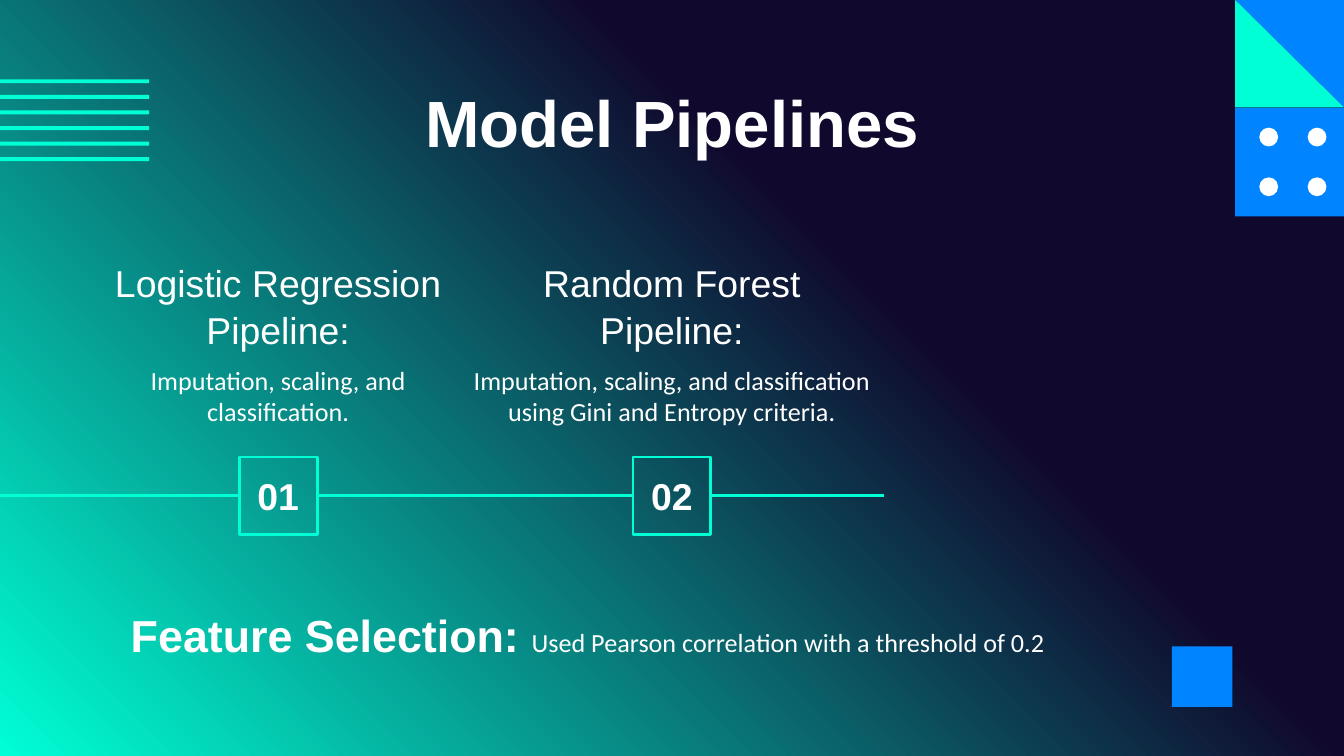
"""Build the Model Pipelines slide with its two-step timeline."""
from copy import deepcopy

from lxml import etree
from pptx import Presentation
from pptx.dml.color import RGBColor
from pptx.enum.shapes import MSO_CONNECTOR, MSO_SHAPE
from pptx.enum.text import MSO_ANCHOR, PP_ALIGN
from pptx.oxml.ns import qn
from pptx.util import Inches, Pt

RECTANGLE, OVAL = MSO_SHAPE.RECTANGLE, MSO_SHAPE.OVAL
STRAIGHT = MSO_CONNECTOR.STRAIGHT
TOP, MIDDLE = MSO_ANCHOR.TOP, MSO_ANCHOR.MIDDLE
CENTER = PP_ALIGN.CENTER

NAVY = RGBColor(0x10, 0x09, 0x2D)
MINT = RGBColor(0x00, 0xFF, 0xD5)
BLUE = RGBColor(0x00, 0x84, 0xFF)
WHITE = RGBColor(0xFF, 0xFF, 0xFF)

TITLE = {"name": "Arial", "size": Pt(35), "bold": True}
FEATURE = {"name": "Arial", "size": Pt(24), "bold": True}
NUMBER = {"name": "Arial", "size": Pt(20), "bold": True}
HEADING = {"name": "Arial", "size": Pt(20), "bold": False}
BODY = {"name": "Calibri", "size": Pt(14), "bold": False}

STEPS = [
    {"number": "01", "center": 2.07, "heading": "Logistic Regression Pipeline:",
     "heading_width": 3.54, "body": "Imputation, scaling, and classification.",
     "body_width": 2.56},
    {"number": "02", "center": 5.0, "heading": "Random Forest Pipeline:",
     "heading_width": 3.0,
     "body": "Imputation, scaling, and classification using Gini and Entropy criteria.",
     "body_width": 3.31},
]
TEXTS = [
    ((0.79, 0.59, 8.43, 0.63), [("Model Pipelines", TITLE)]),
    ((0.41, 4.41, 7.93, 0.63),
     [("Feature Selection: ", FEATURE),
      ("Used Pearson correlation with a threshold of 0.2", BODY)]),
]

TILE, TILE_LEFT = 0.81, 9.19
TRIANGLES = [
    (BLUE, [(TILE_LEFT, 0), (10, 0), (10, 0.8)]),
    (MINT, [(TILE_LEFT, 0), (10, 0.8), (TILE_LEFT, 0.8)]),
]
SQUARES = [(TILE_LEFT, 0.8, TILE, TILE), (8.72, 4.81, 0.45, 0.45)]
DOT_LEFTS, DOT_TOPS, DOT = (9.37, 9.73), (0.95, 1.32), 0.14
STRIPE_COUNT, STRIPE_TOP, STRIPE_GAP = 6, 0.59, 0.116
TIMELINE_Y, TIMELINE_END, BOX = 3.69, 6.58, 0.58


def paint_background(slide):
    fill = slide.background.fill
    fill.gradient()
    fill.gradient_angle = 225
    first, last = fill.gradient_stops
    first.color.rgb, last.color.rgb = NAVY, MINT
    first.position, last.position = 0.36, 1
    stop = next(slide.element.iter(qn("a:gs")))
    start = deepcopy(stop)
    start.set("pos", "0")
    stop.addprevious(start)


def style(shape, color):
    shape.shadow.inherit = False
    shape.fill.solid()
    shape.fill.fore_color.rgb = color
    shape.line.fill.background()


def add_block(slide, kind, place, color):
    shape = slide.shapes.add_shape(kind, *map(Inches, place))
    style(shape, color)
    return shape


def add_triangle(slide, color, points):
    corners = [(Inches(x), Inches(y)) for x, y in points]
    builder = slide.shapes.build_freeform(*corners[0])
    builder.add_line_segments(corners[1:], close=True)
    style(builder.convert_to_shape(), color)


def write(shape, runs, anchor=MIDDLE, spacing=1.0):
    frame = shape.text_frame
    frame.word_wrap = True
    frame.vertical_anchor = anchor
    for side in ("left", "top", "right", "bottom"):
        setattr(frame, f"margin_{side}", Inches(0.1))
    paragraph = frame.paragraphs[0]
    paragraph.alignment = CENTER
    paragraph.line_spacing = spacing
    for text, font_format in runs:
        run = paragraph.add_run()
        run.text = text
        run.font.color.rgb = WHITE
        for name, value in font_format.items():
            setattr(run.font, name, value)


def add_text(slide, place, runs, **layout):
    write(slide.shapes.add_textbox(*map(Inches, place)), runs, **layout)


def add_timeline_part(slide, start, end):
    y = Inches(TIMELINE_Y)
    connector = slide.shapes.add_connector(STRAIGHT, Inches(start), y, Inches(end), y)
    connector.line.color.rgb = MINT
    connector.line.width = Pt(1.5)
    properties = connector.element.find(qn("p:spPr"))
    etree.SubElement(properties, qn("a:effectLst"))


def add_step(slide, step):
    center = step["center"]
    width = step["heading_width"]
    add_text(slide, (center - width / 2, 1.98, width, 0.58),
             [(step["heading"], HEADING)], spacing=1.05)
    width = step["body_width"]
    add_text(slide, (center - width / 2, 2.61, width, 0.78),
             [(step["body"], BODY)], anchor=TOP)
    place = (center - BOX / 2, TIMELINE_Y - BOX / 2, BOX, BOX)
    box = add_block(slide, RECTANGLE, place, MINT)
    box.fill.background()
    box.line.color.rgb = MINT
    box.line.width = Pt(1.5)
    write(box, [(step["number"], NUMBER)])


def main():
    presentation = Presentation()
    presentation.slide_width, presentation.slide_height = Inches(10), Inches(5.625)
    slide = presentation.slides.add_slide(presentation.slide_layouts[6])
    paint_background(slide)

    for place in SQUARES:
        add_block(slide, RECTANGLE, place, BLUE)
    for left in DOT_LEFTS:
        for top in DOT_TOPS:
            add_block(slide, OVAL, (left, top, DOT, DOT), WHITE)
    for color, points in TRIANGLES:
        add_triangle(slide, color, points)
    for index in range(STRIPE_COUNT):
        top = STRIPE_TOP + index * STRIPE_GAP
        add_block(slide, RECTANGLE, (0, top, 1.11, 0.03), MINT)

    start = 0
    for step in STEPS:
        add_timeline_part(slide, start, step["center"] - BOX / 2)
        start = step["center"] + BOX / 2
        add_step(slide, step)
    add_timeline_part(slide, start, TIMELINE_END)

    for place, runs in TEXTS:
        add_text(slide, place, runs)
    presentation.save("out.pptx")


if __name__ == "__main__":
    main()
